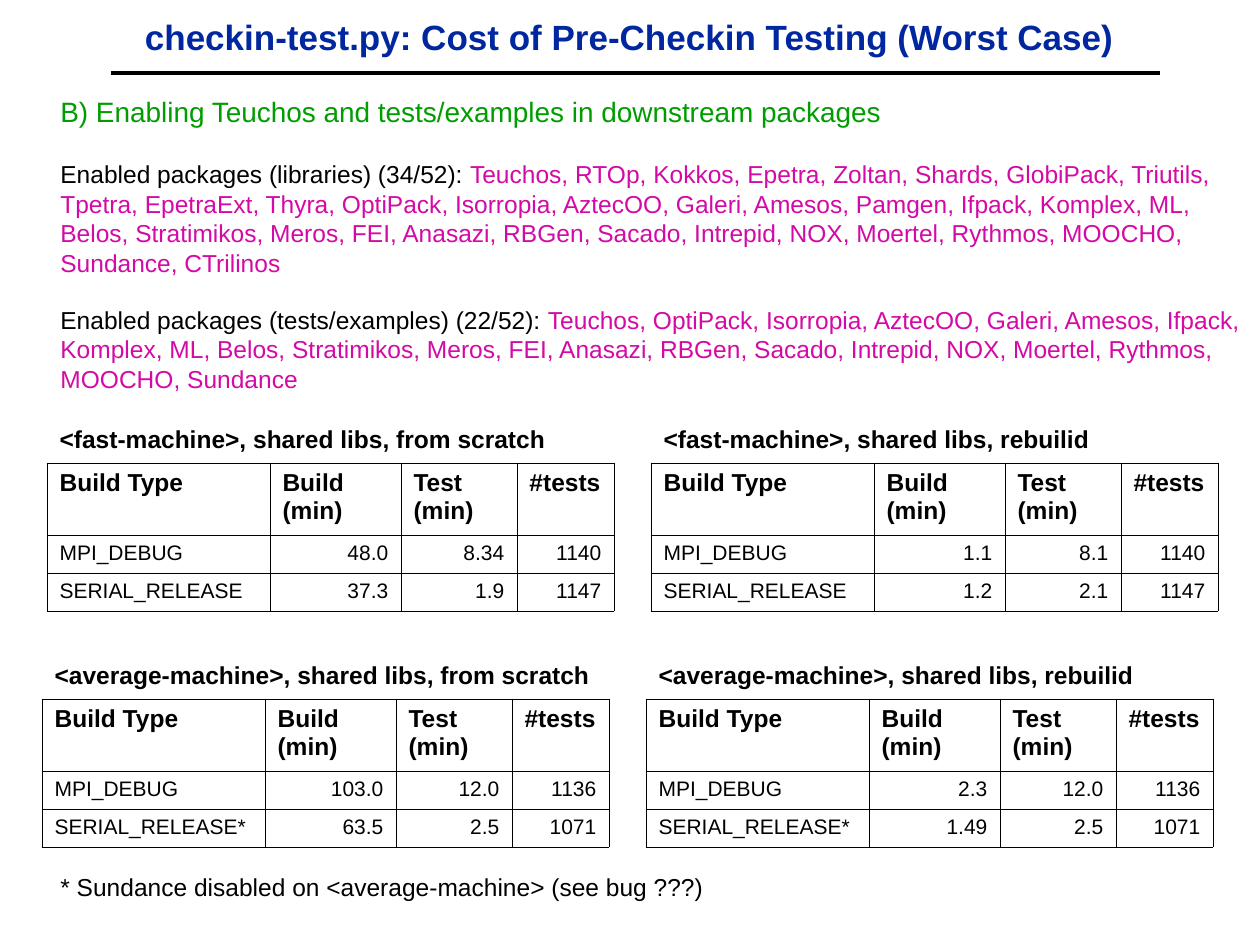
from lxml.etree import SubElement
from pptx import Presentation
from pptx.dml.color import RGBColor
from pptx.enum.shapes import MSO_CONNECTOR
from pptx.enum.text import MSO_ANCHOR, PP_ALIGN
from pptx.oxml.ns import qn
from pptx.util import Pt

EMU_PER_PX = 914400 / 126
BLACK, WHITE, BLUE, GREEN, MAGENTA = "000000", "FFFFFF", "00279F", "009D00", "D30AA5"


def px(*lengths):
    return [round(length * EMU_PER_PX) for length in lengths]


def add_run(paragraph, text, color=BLACK, **font_format):
    run = paragraph.add_run()
    run.text = text
    run.font.color.rgb = RGBColor.from_string(color)
    for name, value in {"name": "Arial", "size": Pt(14), "bold": False, **font_format}.items():
        setattr(run.font, name, value)


presentation = Presentation()
presentation.slide_width, presentation.slide_height = px(1260, 945)
slide = presentation.slides.add_slide(presentation.slide_layouts[5])

# Title and rule
title = slide.shapes.title
title.left, title.top, title.width, title.height = px(94, 10, 1071, 53)
title.text_frame.vertical_anchor = MSO_ANCHOR.MIDDLE
title_paragraph = title.text_frame.paragraphs[0]
title_paragraph.alignment = PP_ALIGN.CENTER
add_run(title_paragraph, "checkin-test.py: Cost of Pre-Checkin Testing (Worst Case)",
        BLUE, size=Pt(20), bold=True)

rule = slide.shapes.add_connector(MSO_CONNECTOR.STRAIGHT, *px(111, 73, 1160, 73))
rule.line.color.rgb = RGBColor.from_string(BLACK)
rule.line.width = Pt(2)
SubElement(rule._element.spPr, qn("a:effectLst"))

# Package lists and footnote: each paragraph is (space before, runs)
body_paragraphs = [
    (0, [("B) Enabling Teuchos and tests/examples in downstream packages", GREEN, 16)]),
    (18, [
        ("Enabled packages (libraries) (34/52): ", BLACK, 14),
        ("Teuchos, RTOp, Kokkos, Epetra, Zoltan, Shards, GlobiPack, Triutils, Tpetra, "
         "EpetraExt, Thyra, OptiPack, Isorropia, AztecOO, Galeri, Amesos, Pamgen, Ifpack, "
         "Komplex, ML, Belos, Stratimikos, Meros, FEI, Anasazi, RBGen, Sacado, Intrepid, "
         "NOX, Moertel, Rythmos, MOOCHO, Sundance, CTrilinos", MAGENTA, 14),
    ]),
    (16, [
        ("Enabled packages (tests/examples) (22/52): ", BLACK, 14),
        ("Teuchos, OptiPack, Isorropia, AztecOO, Galeri, Amesos, Ifpack, Komplex, ML, "
         "Belos, Stratimikos, Meros, FEI, Anasazi, RBGen, Sacado, Intrepid, NOX, Moertel, "
         "Rythmos, MOOCHO, Sundance", MAGENTA, 14),
    ]),
]
footnote_paragraphs = [
    (0, [("* Sundance disabled on <average-machine> (see bug ???)", BLACK, 14)]),
]
for box, paragraphs in [
    ((48, 88, 1212, 345), body_paragraphs),
    ((48, 866, 719, 43), footnote_paragraphs),
]:
    text_frame = slide.shapes.add_textbox(*px(*box)).text_frame
    text_frame.word_wrap = True
    for index, (space_before, runs) in enumerate(paragraphs):
        paragraph = text_frame.add_paragraph() if index else text_frame.paragraphs[0]
        paragraph.space_before = Pt(space_before)
        for text, color, size in runs:
            add_run(paragraph, text, color, size=Pt(size))

# Timing tables
COLUMN_WIDTHS = [223, 131, 116, 97]
ROW_HEIGHTS = [43, 72, 38, 38]
TABLE_PITCH = 604
HEADERS = ["Build Type", "Build (min)", "Test (min)", "#tests"]
machines = [
    ("<fast-machine>", 47, 420, [
        ("from scratch", [["MPI_DEBUG", "48.0", "8.34", "1140"],
                          ["SERIAL_RELEASE", "37.3", "1.9", "1147"]]),
        ("rebuilid", [["MPI_DEBUG", "1.1", "8.1", "1140"],
                      ["SERIAL_RELEASE", "1.2", "2.1", "1147"]]),
    ]),
    ("<average-machine>", 42, 656, [
        ("from scratch", [["MPI_DEBUG", "103.0", "12.0", "1136"],
                          ["SERIAL_RELEASE*", "63.5", "2.5", "1071"]]),
        ("rebuilid", [["MPI_DEBUG", "2.3", "12.0", "1136"],
                      ["SERIAL_RELEASE*", "1.49", "2.5", "1071"]]),
    ]),
]
for machine, left, top, builds in machines:
    for position, (build, timings) in enumerate(builds):
        table = slide.shapes.add_table(
            len(ROW_HEIGHTS), len(COLUMN_WIDTHS),
            *px(left + position * TABLE_PITCH, top, sum(COLUMN_WIDTHS), sum(ROW_HEIGHTS)),
        ).table
        table.first_row = table.horz_banding = False
        for column, width in zip(table.columns, px(*COLUMN_WIDTHS)):
            column.width = width
        for row, height in zip(table.rows, px(*ROW_HEIGHTS)):
            row.height = height
        table.cell(0, 0).merge(table.cell(0, 3))

        caption = [f"{machine}, shared libs, {build}", "", "", ""]
        for row_index, texts in enumerate([caption, HEADERS, *timings]):
            for column_index, text in enumerate(texts):
                cell = table.cell(row_index, column_index)
                for side in ("lnL", "lnR", "lnT", "lnB"):
                    border = SubElement(cell._tc.get_or_add_tcPr(), qn(f"a:{side}"),
                                        w=str(Pt(0.45)))
                    if row_index == 0 and side != "lnB":
                        SubElement(border, qn("a:noFill"))
                    else:
                        fill = SubElement(border, qn("a:solidFill"))
                        SubElement(fill, qn("a:srgbClr"), val=BLACK)
                cell.fill.solid()
                cell.fill.fore_color.rgb = RGBColor.from_string(WHITE)
                if not text:
                    continue
                paragraph = cell.text_frame.paragraphs[0]
                is_timing = row_index > 1
                if is_timing and column_index:
                    paragraph.alignment = PP_ALIGN.RIGHT
                add_run(paragraph, text, size=Pt(12 if is_timing else 14), bold=not is_timing)

presentation.save("out.pptx")
